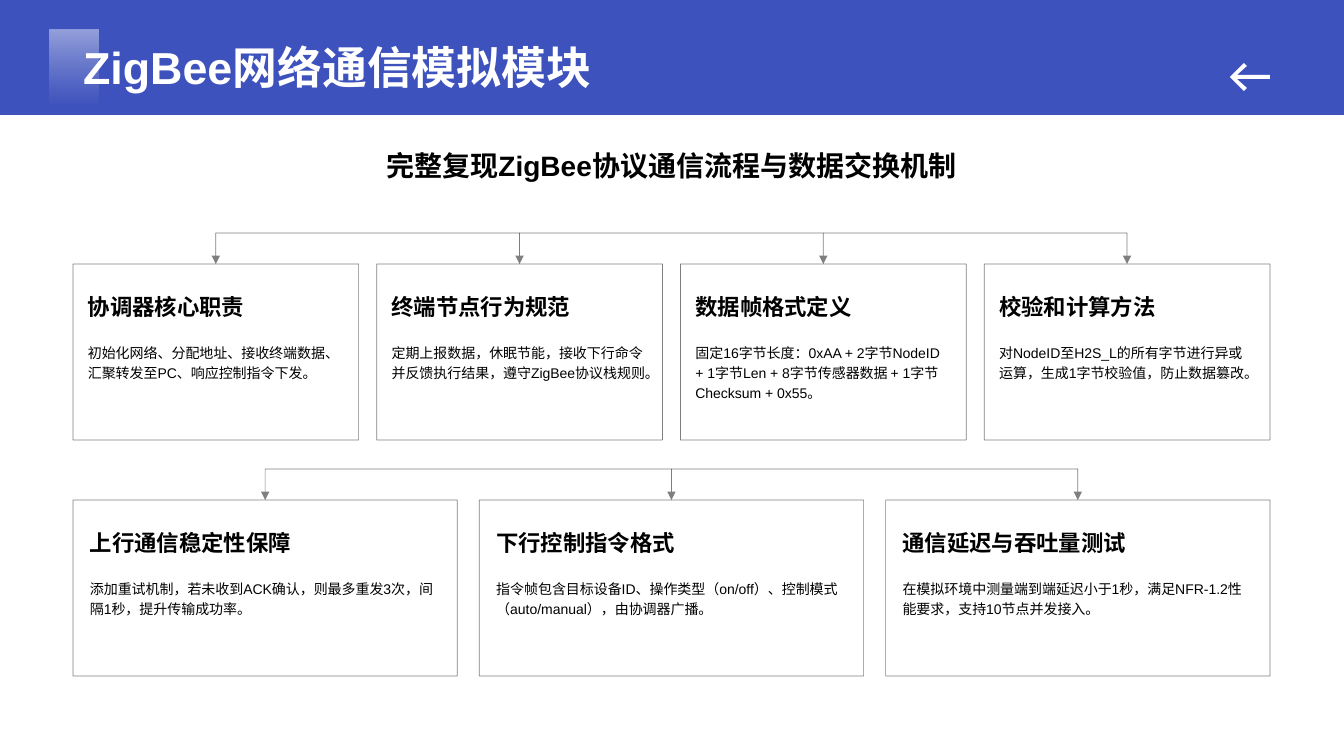
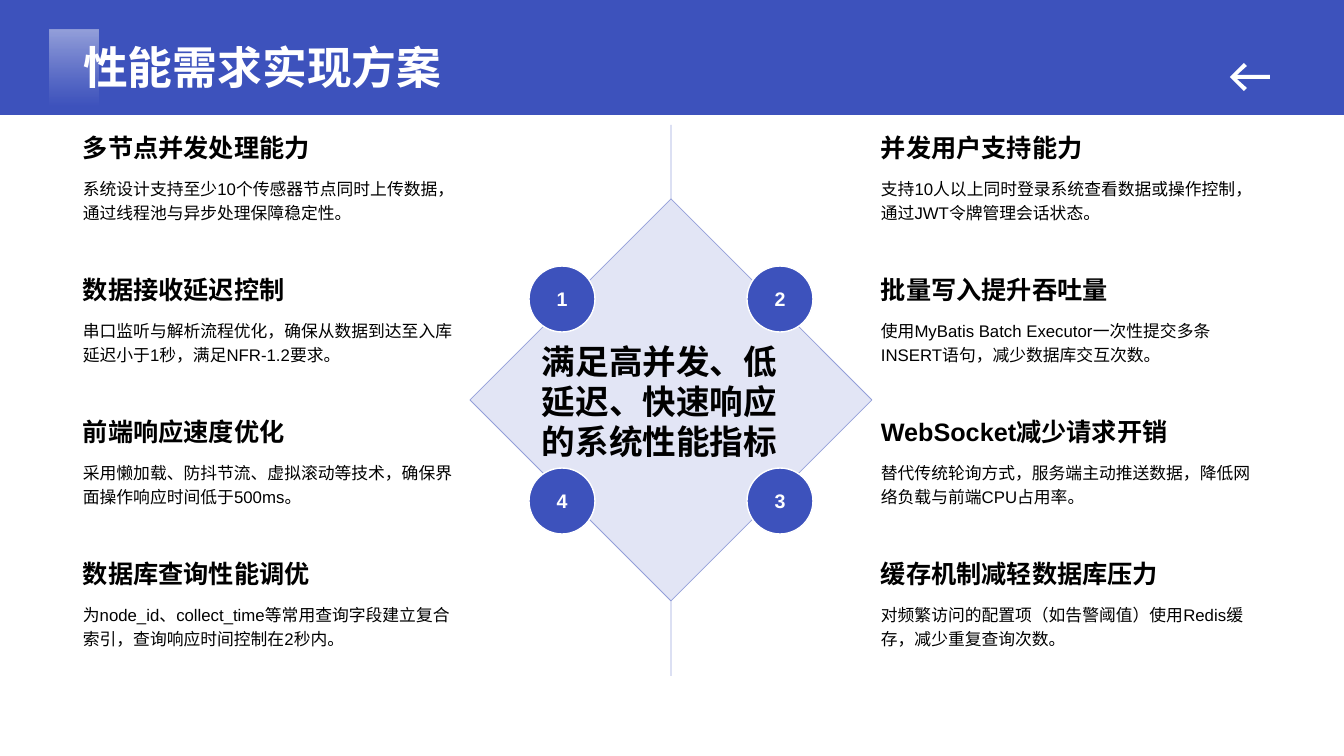
from dataclasses import dataclass

from lxml import etree
from pptx import Presentation
from pptx import util as u
from pptx.dml.color import RGBColor
from pptx.enum import shapes, text
from pptx.oxml.ns import qn

PX = 914400 / 100.8  # EMU in one px
LEFT, RIGHT = 73, 1270
MSO, ANCHOR, ALIGN = shapes.MSO_SHAPE, text.MSO_ANCHOR, text.PP_ALIGN


@dataclass(frozen=True)
class Theme:
    font: str = "Arial"
    brand: str = "3D52BC"
    tint: str = "D8DCF2"
    ink: str = "000000"
    paper: str = "FFFFFF"
    title: int = 32
    statement: int = 24
    subtitle: int = 20
    point_head: int = 18
    card_head: int = 16
    number: int = 14
    point_body: int = 12
    card_body: int = 10
    hairline: float = 0.5
    body_spacing: float = 1.2


T = Theme()

DUTIES = [
    ("协调器核心职责", "初始化网络、分配地址、接收终端数据、汇聚转发至PC、响应控制指令下发。"),
    ("终端节点行为规范", "定期上报数据，休眠节能，接收下行命令并反馈执行结果，遵守ZigBee协议栈规则。"),
    ("数据帧格式定义", "固定16字节长度：0xAA + 2字节NodeID + 1字节Len + 8字节传感器数据 + 1字节Checksum + 0x55。"),
    ("校验和计算方法", "对NodeID至H2S_L的所有字节进行异或运算，生成1字节校验值，防止数据篡改。"),
]
GUARANTEES = [
    ("上行通信稳定性保障", "添加重试机制，若未收到ACK确认，则最多重发3次，间隔1秒，提升传输成功率。"),
    ("下行控制指令格式", "指令帧包含目标设备ID、操作类型（on/off）、控制模式（auto/manual），由协调器广播。"),
    ("通信延迟与吞吐量测试", "在模拟环境中测量端到端延迟小于1秒，满足NFR-1.2性能要求，支持10节点并发接入。"),
]
LEFT_POINTS = [
    ("多节点并发处理能力", "系统设计支持至少10个传感器节点同时上传数据，通过线程池与异步处理保障稳定性。"),
    ("数据接收延迟控制", "串口监听与解析流程优化，确保从数据到达至入库延迟小于1秒，满足NFR-1.2要求。"),
    ("前端响应速度优化", "采用懒加载、防抖节流、虚拟滚动等技术，确保界面操作响应时间低于500ms。"),
    ("数据库查询性能调优", "为node_id、collect_time等常用查询字段建立复合索引，查询响应时间控制在2秒内。"),
]
RIGHT_POINTS = [
    ("并发用户支持能力", "支持10人以上同时登录系统查看数据或操作控制，通过JWT令牌管理会话状态。"),
    ("批量写入提升吞吐量", "使用MyBatis Batch Executor一次性提交多条INSERT语句，减少数据库交互次数。"),
    ("WebSocket减少请求开销", "替代传统轮询方式，服务端主动推送数据，降低网络负载与前端CPU占用率。"),
    ("缓存机制减轻数据库压力", "对频繁访问的配置项（如告警阈值）使用Redis缓存，减少重复查询次数。"),
]


def emu(*lengths):
    return [u.Emu(round(n * PX)) for n in lengths]


def rgb(color):
    return RGBColor.from_string(color)


def set_alpha(parent, percent):
    """Make every colour below an XML element partly transparent."""
    for clr in parent.iter(qn("a:srgbClr")):
        etree.SubElement(clr, qn("a:alpha")).set("val", str(percent * 1000))


def set_line(line, sp, color, width=T.hairline, alpha=None):
    line.color.rgb = rgb(color)
    line.width = u.Pt(width)
    if alpha is not None:
        set_alpha(sp.element.spPr.find(qn("a:ln")), alpha)


def write(sp, content, size, color=T.ink, bold=False, align=ALIGN.LEFT,
          anchor=ANCHOR.MIDDLE, spacing=None, wrap=True):
    tf = sp.text_frame
    tf.text = content
    tf.word_wrap = wrap
    tf.auto_size = text.MSO_AUTO_SIZE.NONE
    tf.vertical_anchor = anchor
    p = tf.paragraphs[0]
    p.alignment = align
    if spacing:
        p.line_spacing = spacing
    font = p.runs[0].font
    font.name, font.size, font.bold = T.font, u.Pt(size), bold
    font.color.rgb = rgb(color)


def add_text(s, box, content, size, **style):
    write(s.shapes.add_textbox(*emu(*box)), content, size, **style)


def add_shape(s, kind, box, fill=None):
    sp = s.shapes.add_shape(kind, *emu(*box))
    sp.shadow.inherit = False
    sp.line.fill.background()
    if fill:
        sp.fill.solid()
        sp.fill.fore_color.rgb = rgb(fill)
    else:
        sp.fill.background()
    return sp


def add_line(s, x1, y1, x2, y2, color=T.ink):
    c = s.shapes.add_connector(shapes.MSO_CONNECTOR.STRAIGHT, *emu(x1, y1, x2, y2))
    set_line(c.line, c, color, alpha=50)
    etree.SubElement(c.element.spPr, qn("a:effectLst"))
    return c


def add_arrow_to(s, card, x, y1, y2):
    """Drop an arrow onto the middle of a card's top edge."""
    c = add_line(s, x, y1, x, y2)
    c.end_connect(card, 0)
    etree.SubElement(c.element.spPr.find(qn("a:ln")), qn("a:tailEnd")).set("type", "triangle")


def add_back_arrow(s):
    tip, *rest = [(1230, 77), (1244, 63), (1247, 66), (1237, 75), (1270, 75),
                  (1270, 79), (1237, 79), (1247, 88), (1244, 91)]
    builder = s.shapes.build_freeform(*tip, scale=PX)
    builder.add_line_segments(rest, close=True)
    sp = builder.convert_to_shape()
    sp.shadow.inherit = False
    sp.fill.solid()
    sp.fill.fore_color.rgb = rgb(T.paper)
    sp.line.fill.background()
    return sp


def add_fading_block(s):
    sp = add_shape(s, MSO.RECTANGLE, (50, 30, 49, 84))
    sp.fill.gradient()
    sp.fill.gradient_angle = 270
    stops = sp.fill.gradient_stops
    for stop, color, position in zip(stops, (T.paper, T.tint), (0, 0.9)):
        stop.color.rgb = rgb(color)
        stop.position = position
    for clr, alpha in zip(list(sp.element.spPr.iter(qn("a:gs"))), (45, 0)):
        set_alpha(clr, alpha)
    return sp


def build_layout(prs, layout):
    """Give the layout its title place and the header band."""
    title = layout.placeholders[0]
    title.left, title.top, title.width, title.height = emu(LEFT, 31, 1151, 68)
    s = prs.slides.add_slide(layout)
    header = [add_shape(s, MSO.RECTANGLE, (0, 0, 1344, 115), T.brand),
              add_fading_block(s), add_back_arrow(s)]
    for i, sp in enumerate(header):
        sp.element.nvSpPr.cNvPr.set("id", str(20 + i))
        layout.shapes.element.insert(2 + i, sp.element)
    return s


def set_title(s, content):
    write(s.shapes.title, content, T.title, color=T.paper, bold=True, anchor=ANCHOR.BOTTOM)


def add_card_row(s, items, top, gap, inset):
    """Spread cards over the content width, joined by a bus line above."""
    n, height, rise = len(items), 176, 31
    width = (RIGHT - LEFT - gap * (n - 1)) / n
    lefts = [LEFT + i * (width + gap) for i in range(n)]
    centres = [x + width / 2 for x in lefts]
    bus = top - rise
    add_line(s, centres[0], bus, centres[-1], bus)
    for x, centre, (head, body) in zip(lefts, centres, items):
        card = add_shape(s, MSO.RECTANGLE, (x, top, width, height))
        set_line(card.line, card, T.ink, alpha=50)
        add_arrow_to(s, card, centre, bus, top)
        text_x, text_w = x + inset, width - 2 * inset
        add_text(s, (text_x, top + 7, text_w, 65), head, T.card_head,
                 bold=True, spacing=T.body_spacing)
        add_text(s, (text_x, top + 72, text_w, 97), body, T.card_body,
                 anchor=ANCHOR.TOP, spacing=T.body_spacing)


def add_point_column(s, x, points):
    width, top, pitch, head_h, body_h = 398, 125, 142, 45, 80
    for i, (head, body) in enumerate(points):
        y = top + i * pitch
        add_text(s, (x, y, width, head_h), head, T.point_head, bold=True)
        add_text(s, (x, y + head_h, width, body_h), body, T.point_body,
                 anchor=ANCHOR.TOP, spacing=T.body_spacing)


def add_number(s, cx, cy, number):
    size = 66
    sp = add_shape(s, MSO.OVAL, (cx - size / 2, cy - size / 2, size, size), T.brand)
    set_line(sp.line, sp, T.paper, width=1)
    write(sp, str(number), T.number, color=T.paper, bold=True, align=ALIGN.CENTER, wrap=False)


def add_diamond_hub(s, cx, cy, statement):
    half, dx, dy = 201, 109, 101
    add_line(s, cx, 125, cx, cy - half, T.brand)
    add_line(s, cx, cy + half, cx, 676, T.brand)
    diamond = add_shape(s, MSO.DIAMOND, (cx - half, cy - half, 2 * half, 2 * half), T.brand)
    set_alpha(diamond.element.spPr.find(qn("a:solidFill")), 15)
    set_line(diamond.line, diamond, T.brand, alpha=50)
    clockwise = [(-1, -1), (1, -1), (1, 1), (-1, 1)]
    for number, (sx, sy) in enumerate(clockwise, 1):
        add_number(s, cx + sx * dx, cy + sy * dy, number)
    add_text(s, (532, 330, 277, 142), statement, T.statement, bold=True)


def build_zigbee(s):
    set_title(s, "ZigBee网络通信模拟模块")
    add_text(s, (LEFT, 125, RIGHT - LEFT, 80), "完整复现ZigBee协议通信流程与数据交换机制",
             T.subtitle, bold=True, align=ALIGN.CENTER)
    add_card_row(s, DUTIES, top=264, gap=18, inset=5)
    add_card_row(s, GUARANTEES, top=500, gap=22, inset=7)


def build_performance(s):
    set_title(s, "性能需求实现方案")
    add_point_column(s, LEFT, LEFT_POINTS)
    add_point_column(s, 871, RIGHT_POINTS)
    add_diamond_hub(s, 671, 400, "满足高并发、低延迟、快速响应的系统性能指标")


def main():
    prs = Presentation()
    prs.slide_width, prs.slide_height = emu(1344, 756)
    layout = prs.slide_layouts[5]
    build_zigbee(build_layout(prs, layout))
    build_performance(prs.slides.add_slide(layout))
    prs.save("out.pptx")


if __name__ == "__main__":
    main()
